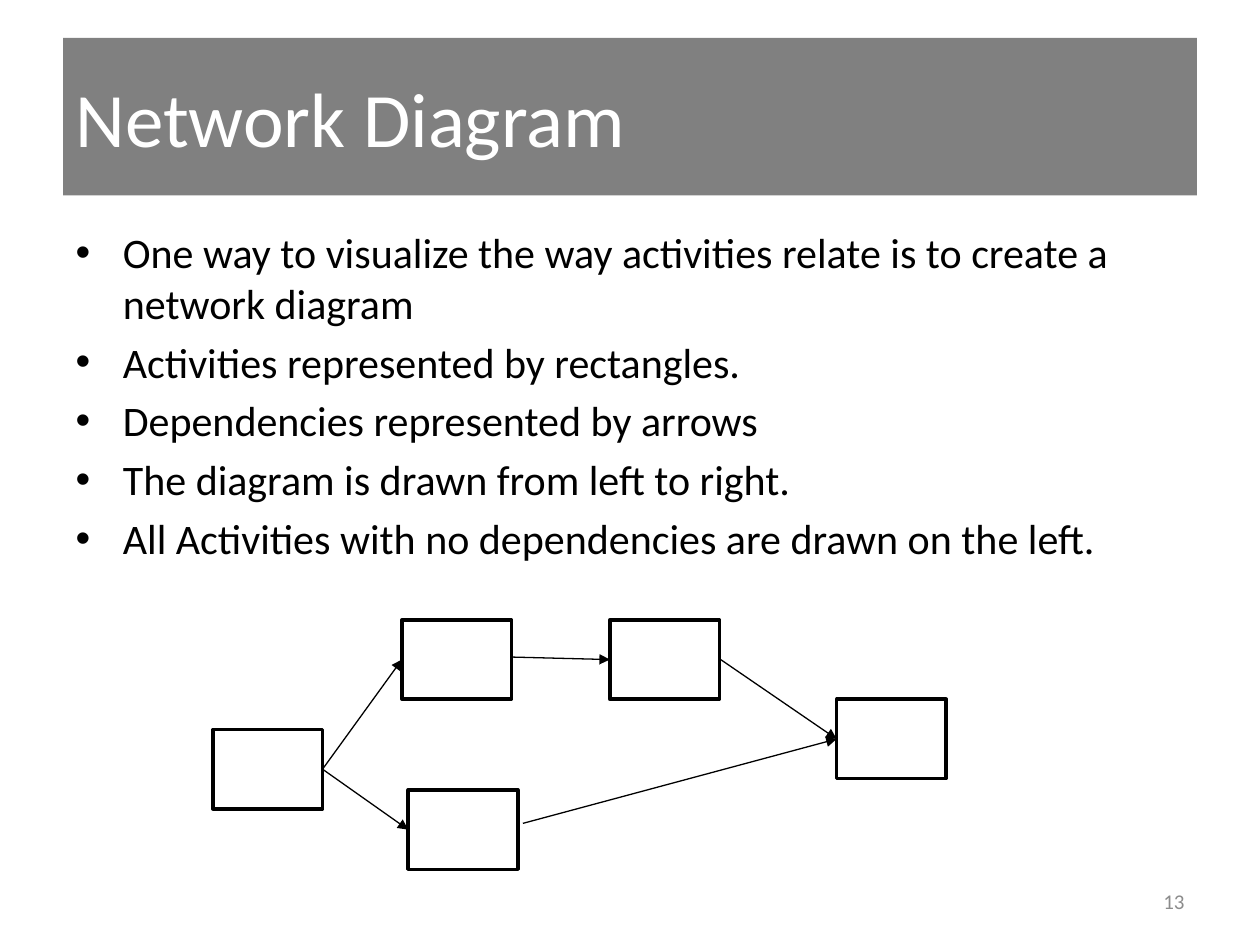
import pptx
import pptx.dml.color
import pptx.enum.shapes
import pptx.enum.text
import pptx.oxml.ns
import pptx.util
import lxml.etree
from pptx.util import Inches

RGBColor = pptx.dml.color.RGBColor
BLACK = RGBColor(0x00, 0x00, 0x00)
WHITE = RGBColor(0xFF, 0xFF, 0xFF)
BAND_GRAY = RGBColor(0x80, 0x80, 0x80)
NUMBER_GRAY = RGBColor(0x8C, 0x8C, 0x8C)

ALIGN = pptx.enum.text.PP_ALIGN
ANCHOR = pptx.enum.text.MSO_ANCHOR

# Boxes are left, top, width, height in inches
TITLE_BOX = (0.5, 0.3, 9, 1.25)
BODY_BOX = (0.5, 1.75, 9, 4.95)
NUMBER_BOX = (7.17, 6.95, 2.33, 0.4)
DIAGRAM_BOX = (1.69, 4.92, 5.82, 1.98)

BULLETS = [
    "One way to visualize the way activities relate is to create a network diagram",
    "Activities represented by rectangles.",
    "Dependencies represented by arrows",
    "The diagram is drawn from left to right.",
    "All Activities with no dependencies are drawn on the left.",
]

# Activity positions within the diagram
ACTIVITY_SIZE = (0.87, 0.63)
ACTIVITIES = {
    "start": (0, 0.87),
    "upper": (1.5, 0),
    "lower": (1.55, 1.35),
    "next": (3.15, 0),
    "finish": (4.95, 0.63),
}
# From, to, and offset of the arrow's start from the right edge's middle
DEPENDENCIES = [
    ("start", "upper", (0, 0)),
    ("start", "lower", (0, 0)),
    ("upper", "next", (0.01, -0.02)),
    ("lower", "finish", (0.04, -0.05)),
    ("next", "finish", (0.01, 0)),
]


def set_values(target, values):
    for name, value in values.items():
        setattr(target, name, value)


def place(shape, box):
    names = ("left", "top", "width", "height")
    set_values(shape, dict(zip(names, map(Inches, box))))


def write_text(shape, lines, size, color, anchor, align=ALIGN.LEFT):
    frame = shape.text_frame
    set_values(frame, {"word_wrap": True, "vertical_anchor": anchor,
                       "auto_size": pptx.enum.text.MSO_AUTO_SIZE.NONE})
    frame.text = "\n".join(lines)
    for para in frame.paragraphs:
        para.alignment = align
        for span in para.runs:
            set_values(span.font, {"name": "Calibri", "size": pptx.util.Pt(size)})
            span.font.color.rgb = color


def fill_title(page, box):
    title = page.shapes.title
    place(title, box)
    title.fill.solid()
    title.fill.fore_color.rgb = BAND_GRAY
    write_text(title, ["Network Diagram"], 44, WHITE, ANCHOR.MIDDLE)


def fill_body(page, box):
    # Bullets, indents and spacing come from the template
    body = page.placeholders[1]
    place(body, box)
    write_text(body, BULLETS, 24, BLACK, ANCHOR.TOP)


def add_page_number(page, box):
    number = page.shapes.add_textbox(*map(Inches, box))
    write_text(number, ["13"], 12, NUMBER_GRAY, ANCHOR.MIDDLE, ALIGN.RIGHT)


def add_activity(page, box):
    activity = page.shapes.add_shape(
        pptx.enum.shapes.MSO_SHAPE.RECTANGLE, *map(Inches, box))
    activity.shadow.inherit = False
    activity.fill.solid()
    activity.fill.fore_color.rgb = WHITE
    activity.line.color.rgb = BLACK
    activity.line.width = pptx.util.Pt(2)


def add_arrow(page, start, end):
    arrow = page.shapes.add_connector(
        pptx.enum.shapes.MSO_CONNECTOR.STRAIGHT, *map(Inches, start + end))
    arrow.line.color.rgb = BLACK
    arrow.line.width = pptx.util.Pt(0.75)
    # Arrowhead, and no shadow
    qn = pptx.oxml.ns.qn
    properties = arrow.element.find(qn("p:spPr"))
    outline = properties.find(qn("a:ln"))
    lxml.etree.SubElement(outline, qn("a:tailEnd"), type="triangle")
    lxml.etree.SubElement(properties, qn("a:effectLst"))


def add_diagram(page, box):
    left, top = box[:2]
    width, height = ACTIVITY_SIZE
    middle = top + height / 2
    for x, y in ACTIVITIES.values():
        add_activity(page, (left + x, top + y, width, height))
    for source, target, (shift_x, shift_y) in DEPENDENCIES:
        source_x, source_y = ACTIVITIES[source]
        target_x, target_y = ACTIVITIES[target]
        add_arrow(page,
                  (left + source_x + width + shift_x, middle + source_y + shift_y),
                  (left + target_x, middle + target_y))


def main():
    deck = pptx.Presentation()
    set_values(deck, {"slide_width": Inches(10), "slide_height": Inches(7.5)})
    page = deck.slides.add_slide(deck.slide_layouts[1])
    fill_title(page, TITLE_BOX)
    fill_body(page, BODY_BOX)
    add_page_number(page, NUMBER_BOX)
    add_diagram(page, DIAGRAM_BOX)
    deck.save("out.pptx")


if __name__ == "__main__":
    main()
